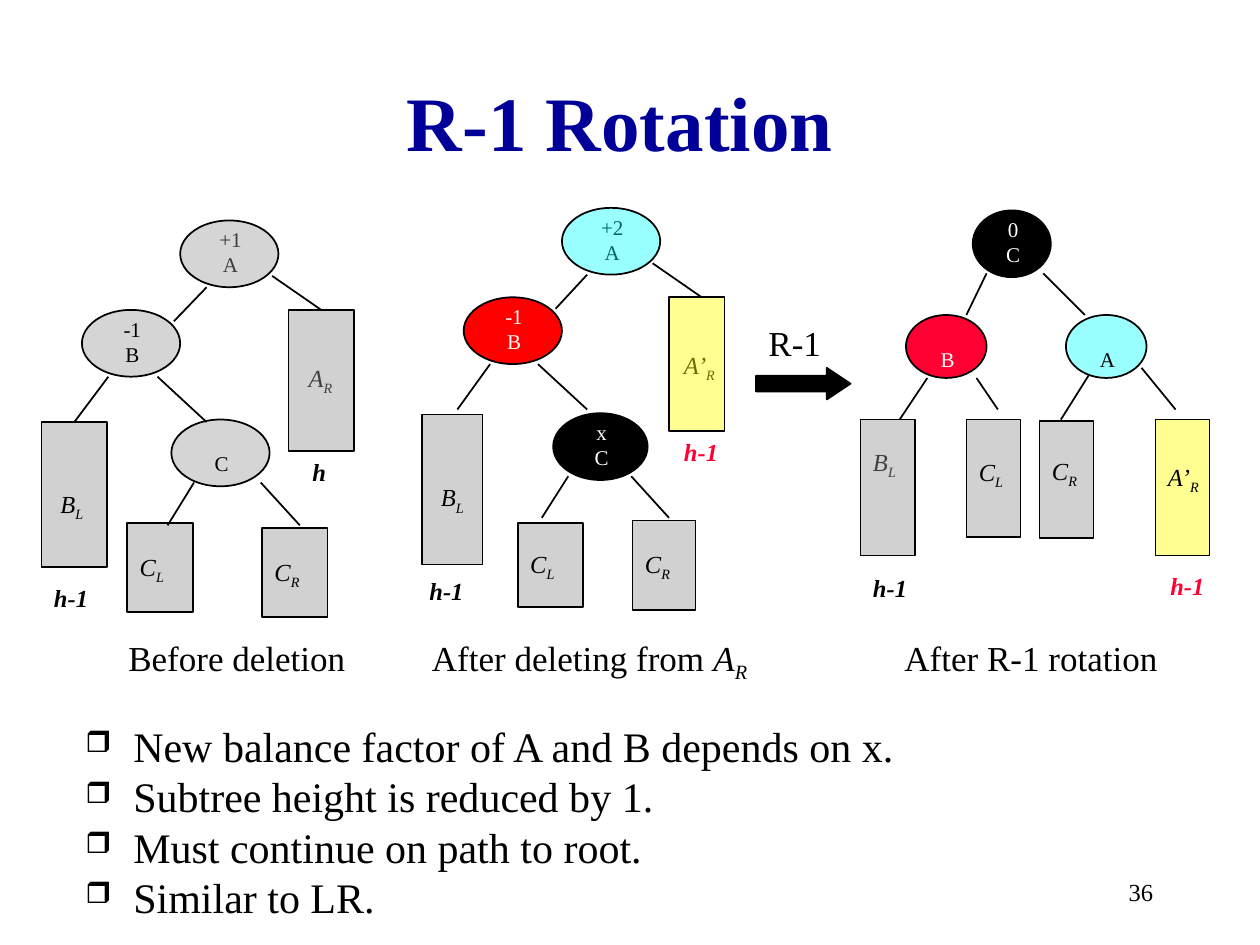
from lxml import etree
from pptx import Presentation
from pptx import util as u
from pptx.dml.color import RGBColor
from pptx.enum import shapes, text
from pptx.oxml import ns

BLACK = RGBColor(0, 0, 0)
WHITE = RGBColor(255, 255, 255)
NAVY = RGBColor(0, 0, 0x99)
GRAY = RGBColor(0x96, 0x96, 0x96)
RED = RGBColor(255, 0, 0)
ROSE = RGBColor(255, 0, 0x33)
CYAN = RGBColor(0, 255, 255)
GOLD = RGBColor(255, 255, 0)
KIND = shapes.MSO_SHAPE
ALIGN = text.PP_ALIGN
FONT = "Times New Roman"

deck = Presentation()
deck.slide_width, deck.slide_height = u.Inches(10), u.Inches(7.5)
slide = deck.slides.add_slide(deck.slide_layouts[6])


def add_label(spot, parts, size, ink=BLACK, align=ALIGN.LEFT, mid=False):
    """Parts are (words, style) pairs; style letters: b, i, s for subscript."""
    box = slide.shapes.add_textbox(*map(u.Inches, spot))
    frame = box.text_frame
    frame.word_wrap = True
    if mid:
        frame.vertical_anchor = text.MSO_ANCHOR.MIDDLE
    para = frame.paragraphs[0]
    para.alignment = align
    for words, style in parts:
        for row, line in enumerate(words.split("\n")):
            if row:
                para.add_line_break()
            if not line:
                continue
            run = para.add_run()
            run.text = line
            font = run.font
            font.name, font.size, font.color.rgb = FONT, u.Pt(size), ink
            font.bold, font.italic = "b" in style, "i" in style
            if "s" in style:
                run._r.get_or_add_rPr().set("baseline", "-25000")
    for gap in para._p.findall(ns.qn("a:br")):
        etree.SubElement(gap, ns.qn("a:rPr"), sz=str(size * 100))


def add_solid(kind, spot, fill, alpha=100):
    solid = slide.shapes.add_shape(kind, *map(u.Inches, spot))
    solid.shadow.inherit = False
    solid.fill.solid()
    solid.fill.fore_color.rgb = fill
    solid.line.color.rgb = BLACK
    solid.line.width = u.Pt(1)
    if alpha < 100:
        tint = solid._element.spPr.find(".//" + ns.qn("a:srgbClr"))
        etree.SubElement(tint, ns.qn("a:alpha"), val=str(alpha * 1000))
    return solid


# Title and page number
add_label((0.67, 0.33, 8.5, 1.25), [("R-1 Rotation", "b")], 44, NAVY,
          ALIGN.CENTER, True)
add_label((7.17, 6.83, 2.08, 0.5), [("36", "")], 14, BLACK, ALIGN.RIGHT, True)

# Tree nodes: spot, words, fill, alpha, ink, label behind the tint
nodes = [
    ((1.43, 1.75, 0.78, 0.53), "+1\nA", GRAY, 40, BLACK, True),
    ((0.65, 2.46, 0.78, 0.53), "-1\nB", GRAY, 40, BLACK, False),
    ((1.36, 3.33, 0.78, 0.53), "\nC", GRAY, 40, BLACK, False),
    ((4.46, 1.65, 0.78, 0.53), "+2\nA", CYAN, 40, BLACK, True),
    ((3.68, 2.36, 0.78, 0.53), "-1\nB", RED, 100, WHITE, False),
    ((4.39, 3.28, 0.75, 0.53), "x\nC", BLACK, 100, WHITE, False),
    ((7.72, 1.67, 0.62, 0.53), "0\nC", BLACK, 100, WHITE, False),
    ((7.19, 2.5, 0.64, 0.5), "\nB", ROSE, 100, WHITE, False),
    ((8.46, 2.5, 0.64, 0.5), "\nA", CYAN, 40, BLACK, False),
]
for spot, words, fill, alpha, ink, behind in nodes:
    left, top, wide, _ = spot
    place = (left + 0.07, top, wide - 0.12, 0.5)
    if behind:
        add_label(place, [(words, "")], 12, ink, ALIGN.CENTER)
    add_solid(KIND.OVAL, spot, fill, alpha)
    if not behind:
        add_label(place, [(words, "")], 12, ink, ALIGN.CENTER)

# Subtrees: spot, name, side, label left and top, fill, label behind the tint
trees = [
    ((2.29, 2.46, 0.52, 1.12), "A", "R", 2.35, 2.83, GRAY, True),
    ((0.33, 3.35, 0.52, 1.15), "B", "L", 0.38, 3.83, GRAY, False),
    ((1.01, 4.15, 0.52, 0.71), "C", "L", 1.01, 4.33, GRAY, False),
    ((2.08, 4.19, 0.52, 0.71), "C", "R", 2.08, 4.37, GRAY, False),
    ((5.31, 2.36, 0.44, 1.06), "A’", "R", 5.33, 2.73, GOLD, True),
    ((3.35, 3.29, 0.48, 1.19), "B", "L", 3.4, 3.78, GRAY, False),
    ((4.11, 4.15, 0.52, 0.67), "C", "L", 4.11, 4.31, GRAY, False),
    ((5.02, 4.13, 0.5, 0.71), "C", "R", 5.02, 4.31, GRAY, False),
    ((6.83, 3.33, 0.43, 1.08), "B", "L", 6.83, 3.5, GRAY, True),
    ((7.67, 3.33, 0.43, 0.93), "C", "L", 7.67, 3.58, GRAY, False),
    ((8.25, 3.34, 0.43, 0.93), "C", "R", 8.25, 3.57, GRAY, False),
    ((9.17, 3.33, 0.43, 1.08), "A’", "R", 9.17, 3.62, GOLD, False),
]
for spot, name, side, left, top, fill, behind in trees:
    place, parts = (left, top, 0.75, 0.33), [(name, "i"), (side, "is")]
    if behind:
        add_label(place, parts, 14)
    add_solid(KIND.RECTANGLE, spot, fill, 43)
    if not behind:
        add_label(place, parts, 14)

# Edges
edges = [
    (1.64, 2.28, 1.38, 2.55), (2.16, 2.19, 2.55, 2.46),
    (0.86, 2.99, 0.59, 3.35), (1.25, 2.99, 1.64, 3.35),
    (1.54, 3.83, 1.33, 4.17), (2.07, 3.83, 2.38, 4.17),
    (4.66, 2.18, 4.41, 2.45), (5.18, 2.09, 5.57, 2.36),
    (3.89, 2.89, 3.63, 3.25), (4.27, 2.89, 4.66, 3.25),
    (4.51, 3.78, 4.3, 4.11), (5.01, 3.78, 5.31, 4.11),
    (7.83, 2.17, 7.67, 2.5), (8.28, 2.17, 8.61, 2.5),
    (7.36, 3, 7.14, 3.33), (7.75, 3, 7.92, 3.25),
    (8.64, 2.98, 8.42, 3.33), (9.06, 2.92, 9.33, 3.25),
]
for ends in edges:
    edge = slide.shapes.add_connector(shapes.MSO_CONNECTOR.STRAIGHT,
                                      *map(u.Inches, ends))
    edge.line.color.rgb = BLACK
    edge.line.width = u.Pt(1)
    etree.SubElement(edge._element.spPr, ns.qn("a:effectLst"))

# Subtree heights
for left, top, words, ink in [
    (2.38, 3.58, "h", BLACK), (0.33, 4.58, "h-1", BLACK),
    (5.33, 3.42, "h-1", ROSE), (3.31, 4.52, "h-1", BLACK),
    (6.83, 4.5, "h-1", BLACK), (9.19, 4.48, "h-1", ROSE),
]:
    add_label((left, top, 0.78, 0.33), [(words, "bi")], 14, ink)

# Rotation arrow and captions
arrow = add_solid(KIND.RIGHT_ARROW, (6, 2.92, 0.75, 0.25), BLACK)
arrow.adjustments[1] = 0.75
for left, top, wide, parts in [
    (6, 2.5, 0.75, [("R-1", "")]),
    (0.92, 5, 2, [("Before deletion", "")]),
    (3.33, 5, 2.83, [("After deleting from ", ""), ("A", "i"), ("R", "is")]),
    (7.08, 5, 2.33, [("After R-1 rotation", "")]),
]:
    add_label((left, top, wide, 0.43), parts, 20)

# Bullets
notes = slide.shapes.add_textbox(*map(u.Inches, (0.58, 5.67, 8.5, 2.17)))
frame = notes.text_frame
frame.word_wrap = True
lines = ["New balance factor of A and B depends on x.",
         "Subtree height is reduced by 1.",
         "Must continue on path to root.",
         "Similar to LR."]
frame.text = "\n".join(lines)
for para in frame.paragraphs:
    props = para._p.get_or_add_pPr()
    props.set("marL", str(u.Inches(0.38)))
    props.set("indent", str(u.Inches(-0.38)))
    etree.SubElement(props, ns.qn("a:buSzPct"), val="70000")
    etree.SubElement(props, ns.qn("a:buChar"), char="❒")
    font = para.runs[0].font
    font.name, font.size, font.color.rgb = FONT, u.Pt(24), BLACK

deck.save("out.pptx")
